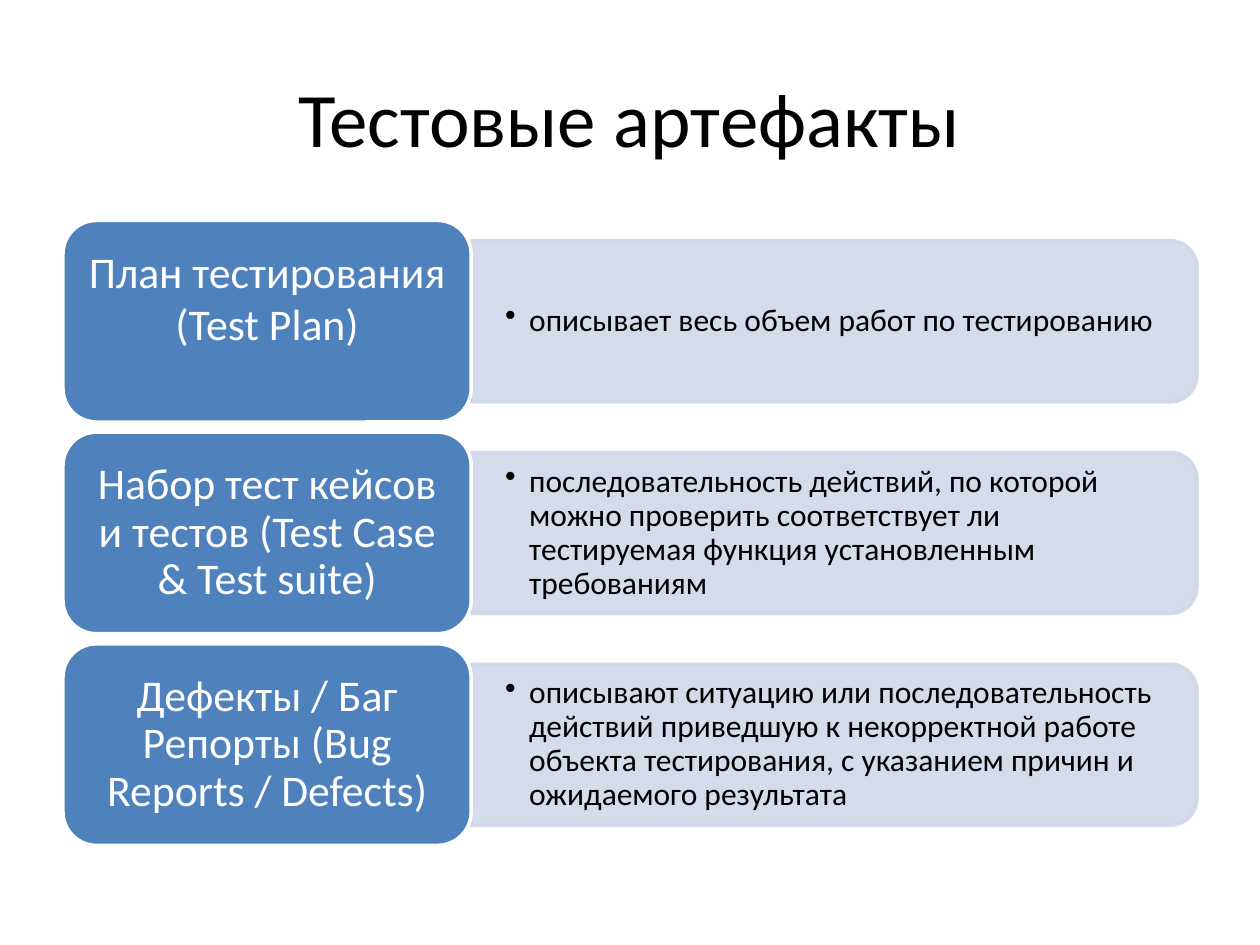
"""Build a slide that lists testing artifacts with their descriptions."""
from dataclasses import dataclass

import pptx
import pptx.dml.color
import pptx.enum.shapes
import pptx.enum.text
import pptx.oxml
import pptx.oxml.ns
import pptx.shapes.autoshape
import pptx.slide
import pptx.text.text
import pptx.util
from pptx.dml.color import RGBColor
from pptx.util import Inches

BLACK = RGBColor(0x00, 0x00, 0x00)
WHITE = RGBColor(0xFF, 0xFF, 0xFF)
BLUE = RGBColor(0x4F, 0x81, 0xBD)
PALE_BLUE = RGBColor(0xD0, 0xD8, 0xE8)

FIRST_TOP = 1.75
ROW_PITCH = 1.68
LABEL_LEFT = 0.5
LABEL_WIDTH = 3.24
LABEL_HEIGHT = 1.6
PANEL_LEFT = LABEL_LEFT + LABEL_WIDTH
PANEL_WIDTH = 5.76
PANEL_HEIGHT = 1.28
DESCRIPTION_WIDTH = 5.7
DESCRIPTION_HEIGHT = 1.15
BULLET_INDENT = 0.19


@dataclass(frozen=True)
class Artifact:
    name: str
    description: str
    line_spacing: float = 0.9
    bottom_inset: float = 0.05


ARTIFACTS = (
    Artifact("План тестирования (Test Plan)",
             "описывает весь объем работ по тестированию",
             line_spacing=1.0, bottom_inset=0.43),
    Artifact("Набор тест кейсов и тестов (Test Case & Test suite)",
             "последовательность действий, по которой можно проверить "
             "соответствует ли тестируемая функция установленным требованиям"),
    Artifact("Дефекты / Баг Репорты (Bug Reports / Defects)",
             "описывают ситуацию или последовательность действий приведшую "
             "к некорректной работе объекта тестирования, с указанием причин "
             "и ожидаемого результата"),
)


def write_text(frame: pptx.text.text.TextFrame, text: str, size: int,
               color: RGBColor, insets: tuple[float, float, float, float],
               line_spacing: float = 1.0,
               centered: bool = True) -> pptx.text.text._Paragraph:
    """Fill a frame with one middle-anchored paragraph and return it."""
    frame.word_wrap = True
    frame.auto_size = pptx.enum.text.MSO_AUTO_SIZE.NONE
    frame.vertical_anchor = pptx.enum.text.MSO_ANCHOR.MIDDLE
    frame.margin_left, frame.margin_top, frame.margin_right, frame.margin_bottom = map(Inches, insets)
    paragraph = frame.paragraphs[0]
    paragraph.text = text
    paragraph.line_spacing = line_spacing
    alignment = pptx.enum.text.PP_ALIGN
    paragraph.alignment = alignment.CENTER if centered else alignment.LEFT
    paragraph.font.name = "Calibri"
    paragraph.font.size = pptx.util.Pt(size)
    paragraph.font.color.rgb = color
    return paragraph


def add_bullet(paragraph: pptx.text.text._Paragraph) -> None:
    """Give a paragraph a hanging round bullet."""
    properties = paragraph._p.get_or_add_pPr()
    properties.set("marL", str(Inches(BULLET_INDENT)))
    properties.set("indent", str(-Inches(BULLET_INDENT)))
    bullet = pptx.oxml.parse_xml(
        f'<a:buChar {pptx.oxml.ns.nsdecls("a")} char="•"/>')
    properties.insert_element_before(bullet, "a:tabLst", "a:defRPr", "a:extLst")


def style_shape(shape: pptx.shapes.autoshape.Shape, fill: RGBColor,
                line: RGBColor) -> None:
    """Set a flat fill and a two-point outline."""
    shape.shadow.inherit = False
    shape.fill.solid()
    shape.fill.fore_color.rgb = fill
    shape.line.color.rgb = line
    shape.line.width = pptx.util.Pt(2)


def add_panel(slide: pptx.slide.Slide, middle: float) -> None:
    """Draw a translucent panel rounded on its right side."""
    center = PANEL_LEFT + PANEL_WIDTH / 2
    panel = slide.shapes.add_shape(
        pptx.enum.shapes.MSO_SHAPE.ROUND_2_SAME_RECTANGLE,
        Inches(center - PANEL_HEIGHT / 2), Inches(middle - PANEL_WIDTH / 2),
        Inches(PANEL_HEIGHT), Inches(PANEL_WIDTH))
    panel.rotation = 90
    style_shape(panel, PALE_BLUE, PALE_BLUE)
    for color in panel._element.spPr.iter(pptx.oxml.ns.qn("a:srgbClr")):
        color.append(pptx.oxml.parse_xml(
            f'<a:alpha {pptx.oxml.ns.nsdecls("a")} val="90000"/>'))


def add_artifact(slide: pptx.slide.Slide, artifact: Artifact, top: float) -> None:
    """Draw one row: panel, description and label."""
    middle = top + LABEL_HEIGHT / 2
    add_panel(slide, middle)
    description = slide.shapes.add_textbox(
        Inches(PANEL_LEFT), Inches(middle - DESCRIPTION_HEIGHT / 2),
        Inches(DESCRIPTION_WIDTH), Inches(DESCRIPTION_HEIGHT))
    paragraph = write_text(description.text_frame, artifact.description, 18, BLACK,
                           (0.27, 0.14, 0.27, 0.14), 0.9, centered=False)
    add_bullet(paragraph)
    label = slide.shapes.add_shape(
        pptx.enum.shapes.MSO_SHAPE.ROUNDED_RECTANGLE,
        Inches(LABEL_LEFT), Inches(top), Inches(LABEL_WIDTH), Inches(LABEL_HEIGHT))
    style_shape(label, BLUE, WHITE)
    write_text(label.text_frame, artifact.name, 25, WHITE,
               (0.1, 0.05, 0.1, artifact.bottom_inset), artifact.line_spacing)


def main() -> None:
    """Create and save the presentation."""
    presentation = pptx.Presentation()
    presentation.slide_width = Inches(10)
    presentation.slide_height = Inches(7.5)
    slide = presentation.slides.add_slide(presentation.slide_layouts[6])
    title = slide.shapes.add_textbox(Inches(0.5), Inches(0.3), Inches(9), Inches(1.25))
    write_text(title.text_frame, "Тестовые артефакты", 44, BLACK, (0.1, 0.05, 0.1, 0.05))
    for row, artifact in enumerate(ARTIFACTS):
        add_artifact(slide, artifact, FIRST_TOP + row * ROW_PITCH)
    presentation.save("out.pptx")


if __name__ == "__main__":
    main()
